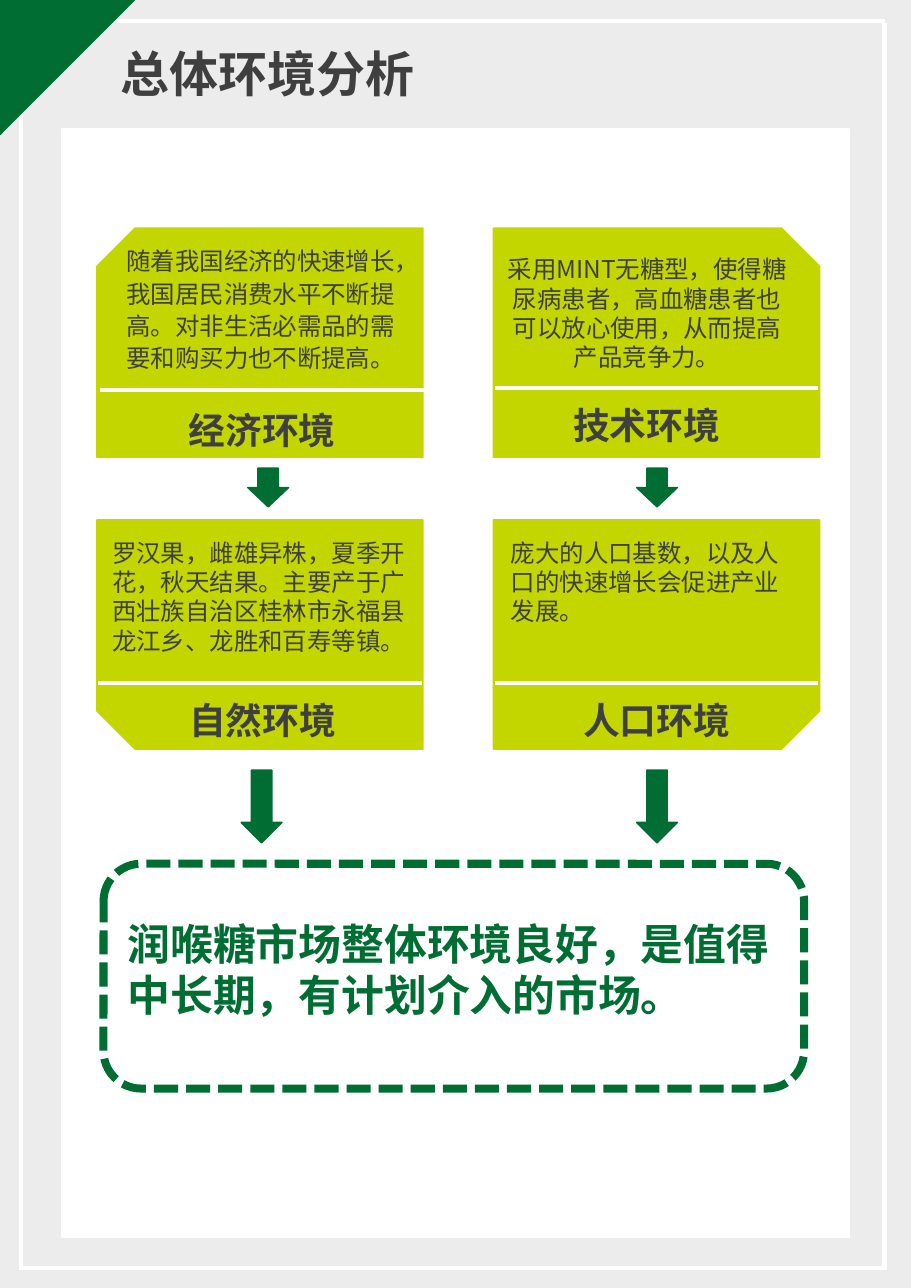
import pptx
import pptx.util
import pptx.dml.color
import pptx.enum.dml
import pptx.enum.lang
import pptx.enum.shapes
import pptx.enum.text
import pptx.oxml.ns
from lxml import etree

RGB = pptx.dml.color.RGBColor
SHAPE = pptx.enum.shapes.MSO_SHAPE
ALIGN = pptx.enum.text.PP_ALIGN
qn = pptx.oxml.ns.qn

GREEN = RGB(0x00, 0x6D, 0x33)
LIME = RGB(0xC3, 0xD6, 0x00)
DARK = RGB(0x3F, 0x3F, 0x3F)
WHITE = RGB(0xFF, 0xFF, 0xFF)
GREY = RGB(0xEC, 0xEC, 0xEC)
FONT = "Noto Sans CJK SC"
WIDTH, HEIGHT = 827, 1169
CARD_W, CARD_H = 296, 208


def px(n):
    return pptx.util.Emu(n * 9144)


def add_shape(s, kind, x, y, w, h, fill, line=None, width=1):
    sp = s.shapes.add_shape(kind, px(x), px(y), px(w), px(h))
    sp.shadow.inherit = False
    sp.fill.solid()
    sp.fill.fore_color.rgb = fill
    sp.line.color.rgb = line or fill
    sp.line.width = pptx.util.Pt(width)
    return sp


def add_line(s, x1, y1, x2, y2, width):
    line = s.shapes.add_connector(
        pptx.enum.shapes.MSO_CONNECTOR.STRAIGHT, px(x1), px(y1), px(x2), px(y2))
    line.line.color.rgb = WHITE
    line.line.width = pptx.util.Pt(width)
    etree.SubElement(line.element.spPr, qn("a:effectLst"))


def add_text(s, x, y, w, h, text, size, bold=False, color=DARK,
             align=ALIGN.LEFT, spacing=None):
    tf = s.shapes.add_textbox(px(x), px(y), px(w), px(h)).text_frame
    tf.word_wrap = True
    p = tf.paragraphs[0]
    p.alignment = align
    if spacing:
        p.line_spacing = spacing
    r = p.add_run()
    r.text = text
    r.font.size = pptx.util.Pt(size)
    r.font.bold = bold
    r.font.color.rgb = color
    r.font.name = FONT
    r.font.language_id = pptx.enum.lang.MSO_LANGUAGE_ID.SIMPLIFIED_CHINESE
    etree.SubElement(r.font._element, qn("a:ea"), typeface=FONT)


def add_frame(s, x, y, w, h):
    right, bottom = x + w, y + h
    add_line(s, x + 87, y, right, y, 3)
    add_line(s, right, y + 2, right, bottom, 3)
    add_line(s, x, bottom, right + 2, bottom, 3)
    add_line(s, x, y + 7, x, bottom + 2, 3)
    corner = add_shape(s, SHAPE.RIGHT_TRIANGLE, 0, 0, 122, 122, GREEN)
    corner.rotation = 90
    add_shape(s, SHAPE.RECTANGLE, x + 37, y + 98, 715, 1006, WHITE)
    add_text(s, x + 81, y + 16, 381, 67, "总体环境分析", 32, bold=True)


def add_card(s, x, y, flips, rule, body, title):
    card = add_shape(s, SHAPE.SNIP_1_RECTANGLE, x, y, CARD_W, CARD_H, LIME)
    xfrm = card.element.spPr.find(qn("a:xfrm"))
    for flip in flips:
        xfrm.set(flip, "1")
    rule_x, rule_y = rule
    add_line(s, x + rule_x, y + rule_y, x + rule_x + 294, y + rule_y, 2.5)
    dx, dy, w, h, text, align, spacing = body
    add_text(s, x + dx, y + dy, w, h, text, 16, align=align, spacing=spacing)
    dx, dy, w, text, spacing = title
    add_text(s, x + dx, y + dy, w, 53, text, 24, bold=True,
             align=ALIGN.CENTER, spacing=spacing)


def add_conclusion(s, x, y, w, h):
    box = add_shape(s, SHAPE.ROUNDED_RECTANGLE, x, y, w, h, WHITE, GREEN, 5.25)
    box.line.dash_style = pptx.enum.dml.MSO_LINE.SQUARE_DOT
    add_text(s, x + 12, y + 44, w - 25, h - 44,
             "润喉糖市场整体环境良好，是值得中长期，有计划介入的市场。",
             28, bold=True, color=GREEN)


def main():
    prs = pptx.Presentation()
    prs.slide_width, prs.slide_height = px(WIDTH), px(HEIGHT)
    s = prs.slides.add_slide(prs.slide_layouts[6])
    s.background.fill.solid()
    s.background.fill.fore_color.rgb = GREY
    add_frame(s, 19, 19, 784, 1132)

    left, right, top, bottom = 88, 448, 207, 472
    add_card(s, left, top, ["flipH"], (3, 147),
             (17, 9, 279, 128,
              "随着我国经济的快速增长，我国居民消费水平不断提高。"
              "对非生活必需品的需要和购买力也不断提高。", ALIGN.LEFT, 1.1),
             (31, 150, 238, "经济环境", 1.2))
    add_card(s, right, top, [], (1, 145),
             (0, 19, 279, 119,
              "采用MINT无糖型，使得糖尿病患者，高血糖患者也可以放心使用，"
              "从而提高产品竞争力。", ALIGN.CENTER, None),
             (36, 154, 206, "技术环境", None))
    add_card(s, left, bottom, ["flipH", "flipV"], (1, 148),
             (4, 11, 288, 119,
              "罗汉果，雌雄异株，夏季开花，秋天结果。"
              "主要产于广西壮族自治区桂林市永福县龙江乡、龙胜和百寿等镇。",
              ALIGN.LEFT, None),
             (46, 156, 209, "自然环境", None))
    add_card(s, right, bottom, ["flipV"], (1, 148),
             (6, 11, 285, 92,
              "庞大的人口基数，以及人口的快速增长会促进产业发展。",
              ALIGN.LEFT, None),
             (45, 156, 206, "人口环境", None))

    for x, y, h in [(225, 425, 35), (578, 425, 35), (219, 699, 66), (578, 699, 66)]:
        add_shape(s, SHAPE.DOWN_ARROW, x, y, 37, h, GREEN)
    add_conclusion(s, 94, 784, 636, 204)
    prs.save("out.pptx")


if __name__ == "__main__":
    main()
